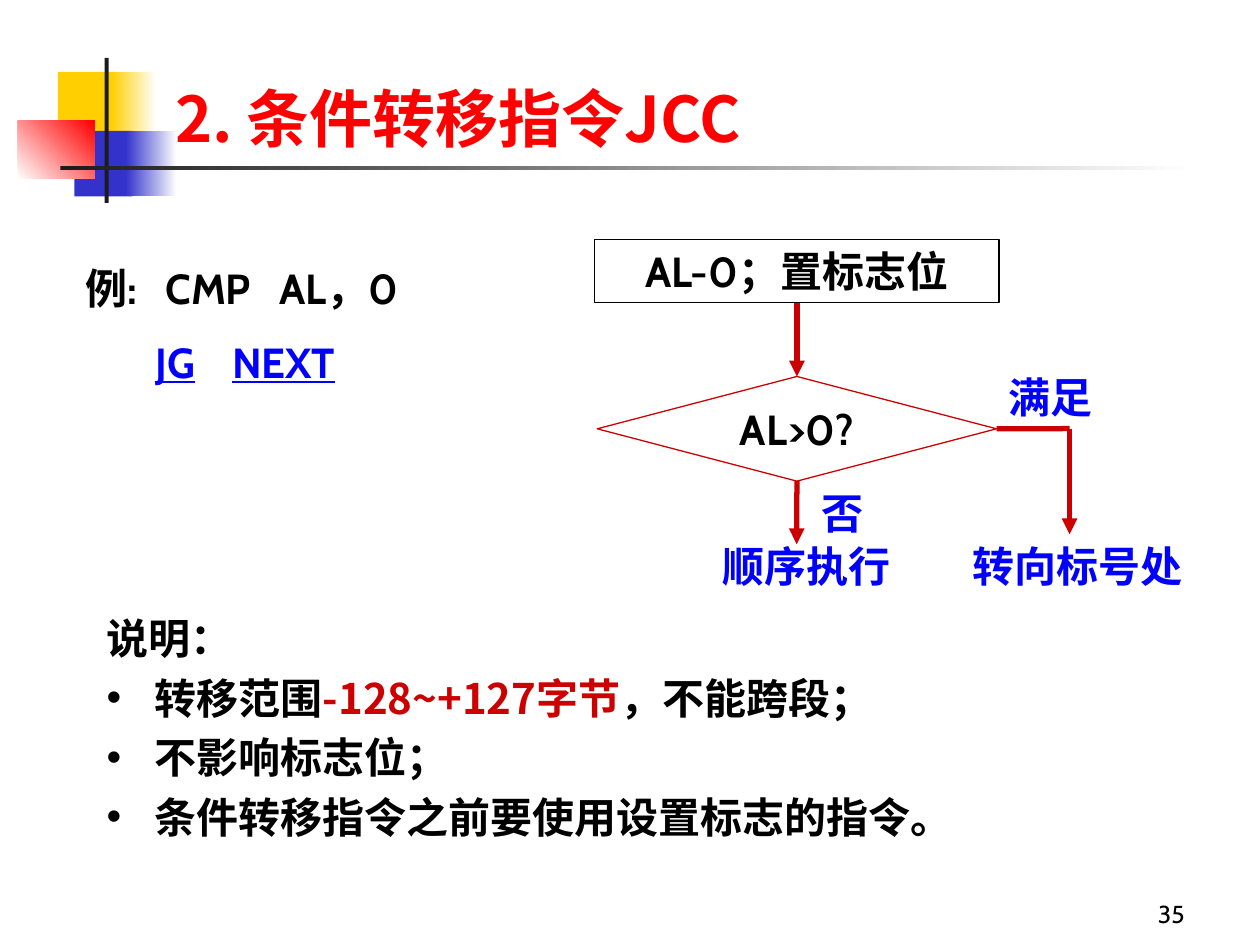
from lxml import etree
from pptx import Presentation
from pptx.dml.color import RGBColor
from pptx.enum.shapes import MSO_CONNECTOR, MSO_SHAPE
from pptx.enum.text import MSO_ANCHOR, PP_ALIGN
from pptx.oxml.ns import qn
from pptx.util import Cm, Pt

RECT, DIAMOND = MSO_SHAPE.RECTANGLE, MSO_SHAPE.FLOWCHART_DECISION
LINE = MSO_CONNECTOR.STRAIGHT
LEFT, MID, RIGHT = PP_ALIGN.LEFT, PP_ALIGN.CENTER, PP_ALIGN.RIGHT
TOP, CENTER, BOTTOM = MSO_ANCHOR.TOP, MSO_ANCHOR.MIDDLE, MSO_ANCHOR.BOTTOM
NORTH, SOUTH, EAST = 0, 2, 3

CABIN, SANS, TITLE = "Cabin", "Noto Sans CJK SC", "Noto Sans CJK JP"
BLACK, WHITE, RED, BLUE = "000000", "FFFFFF", "CC0000", "0000FF"
GOLD, NAVY, DARK, BRIGHT = "FFCF01", "3333CC", "1C1C1C", "FF0000"

# left, top, width, height, colours (two make a gradient), angle
DECOR = [
    (1.17, 1.45, 1.22, 1.32, [GOLD], 0),
    (2.24, 1.45, 0.91, 1.32, [GOLD, WHITE], 0),
    (1.5, 2.64, 1.17, 1.32, [NAVY], 0),
    (2.54, 2.64, 1.02, 1.32, [NAVY, WHITE], 0),
    (0.36, 2.44, 1.55, 1.17, [WHITE, BRIGHT], 45),
    (2.11, 1.17, 0.08, 2.92, [DARK], 0),
    (1.22, 3.35, 22.86, 0.08, [DARK, WHITE], 0),
]

# text, left, top, width, alignment
LABELS = [
    ("顺序执行", 13.69, 10.77, 5.13, MID),
    ("转向标号处", 19.05, 10.77, 5.33, MID),
    ("满足", 20.09, 7.37, 2.97, LEFT),
    ("否", 16.31, 9.7, 1.47, LEFT),
]

# each paragraph is a list of (text, colour) parts
NOTES = [
    [("说明：", BLACK)],
    [("转移范围", BLACK), ("-128~+127字节", RED), ("，不能跨段；", BLACK)],
    [("不影响标志位；", BLACK)],
    [("条件转移指令之前要使用设置标志的指令。", BLACK)],
]


def rgb(code):
    return RGBColor.from_string(code)


def style(run, color, size=24, face=CABIN, bold=True):
    font = run.font
    font.size, font.bold, font.name = Pt(size), bold, face
    font.color.rgb = rgb(color)
    east = etree.SubElement(run._r.get_or_add_rPr(), qn("a:ea"))
    east.set("typeface", SANS if face == CABIN else face)


def write(shape, text, color=BLACK, align=LEFT, anchor=TOP, wrap=True, **look):
    """Put one styled line of text in a shape and return its paragraph."""
    frame = shape.text_frame
    frame.word_wrap, frame.vertical_anchor = wrap, anchor
    frame.text = text
    para = frame.paragraphs[0]
    para.alignment = align
    for run in para.runs:
        style(run, color, **look)
    return para


def box(slide, left, top, width, height=1.27):
    return slide.shapes.add_textbox(Cm(left), Cm(top), Cm(width), Cm(height))


def block(slide, kind, left, top, width, height):
    """Add a preset shape with neither shadow, fill nor line."""
    shape = slide.shapes.add_shape(kind, Cm(left), Cm(top), Cm(width), Cm(height))
    shape.shadow.inherit = False
    shape.fill.background()
    shape.line.fill.background()
    return shape


def outline(shape, color):
    shape.line.color.rgb = rgb(color)
    shape.line.width = Pt(0.75)


def paint(fill, colors, angle):
    if len(colors) == 1:
        fill.solid()
        fill.fore_color.rgb = rgb(colors[0])
        return
    fill.gradient()
    fill.gradient_angle = angle
    for stop, color in zip(fill.gradient_stops, colors):
        stop.color.rgb = rgb(color)


def link(slide, start, end, head=True):
    """Draw a red line between two points, with an arrowhead if asked."""
    wire = slide.shapes.add_connector(LINE, *(Cm(n) for n in start + end))
    wire.line.color.rgb = rgb(RED)
    wire.line.width = Pt(3)
    if head:
        tail = etree.SubElement(wire.line._get_or_add_ln(), qn("a:tailEnd"))
        tail.set("type", "triangle")
    etree.SubElement(wire._element.spPr, qn("a:effectLst"))
    return wire


def set_tabs(para, stops):
    tabs = etree.SubElement(para._p.get_or_add_pPr(), qn("a:tabLst"))
    for stop in stops:
        etree.SubElement(tabs, qn("a:tab"), pos=str(Cm(stop)), algn="l")


def set_bullet(para):
    props = para._p.get_or_add_pPr()
    props.set("marL", str(Cm(0.97)))
    props.set("indent", str(Cm(-0.97)))
    etree.SubElement(props, qn("a:buFont"), typeface="Arial")
    etree.SubElement(props, qn("a:buChar"), char="•")


def add_notes(slide):
    frame = box(slide, 1.9, 12.12, 21.59, 5.05).text_frame
    frame.word_wrap = True
    for i, parts in enumerate(NOTES):
        para = frame.add_paragraph() if i else frame.paragraphs[0]
        para.line_spacing = 1.1
        if i:
            para.space_before = Pt(2.4)
            set_bullet(para)
        for text, color in parts:
            run = para.add_run()
            run.text = text
            style(run, color, face=SANS)


def add_flow(slide):
    test = block(slide, DIAMOND, 12.04, 7.59, 8.05, 2.11)
    outline(test, RED)
    write(test, "AL>0?", align=MID, anchor=CENTER, wrap=False)
    step = block(slide, RECT, 11.99, 4.83, 8.15, 1.27)
    outline(step, BLACK)
    write(step, "AL-0；置标志位", align=MID)

    axis, level, turn = 16.06, 8.64, 21.56
    down = link(slide, (axis, 6.1), (axis, 7.59))
    down.begin_connect(step, SOUTH)
    down.end_connect(test, NORTH)
    link(slide, (axis, 9.7), (axis, 10.97)).begin_connect(test, SOUTH)
    link(slide, (20.09, level), (turn, level), False).begin_connect(test, EAST)
    link(slide, (turn, level), (turn, 10.77))

    for text, left, top, width, align in LABELS:
        write(box(slide, left, top, width), text, BLUE, align)


def add_code(slide):
    para = write(box(slide, 1.47, 5.16, 9.25), "例:\tCMP\tAL，0")
    set_tabs(para, [1.62, 3.91])
    jump = box(slide, 2.11, 6.65, 9.52)
    jump.text_frame.margin_left = Cm(1.02)
    para = write(jump, "JG\tNEXT", BLUE)
    set_tabs(para, [1.55])
    for run in para.runs:
        run.font.underline = True


def main():
    deck = Presentation()
    deck.slide_width, deck.slide_height = Cm(25.4), Cm(19.05)
    slide = deck.slides.add_slide(deck.slide_layouts[6])
    for *place, colors, angle in DECOR:
        paint(block(slide, RECT, *place).fill, colors, angle)
    write(box(slide, 18.85, 17.58, 5.28), "35", align=RIGHT, anchor=BOTTOM,
          size=14, bold=False)
    add_flow(slide)
    add_notes(slide)
    add_code(slide)
    title = box(slide, 2.11, 1.47, 20.9, 1.8)
    title.text_frame.margin_left = Cm(1.42)
    write(title, "2. 条件转移指令JCC", BRIGHT, size=36, face=TITLE)
    deck.save("out.pptx")


if __name__ == "__main__":
    main()
